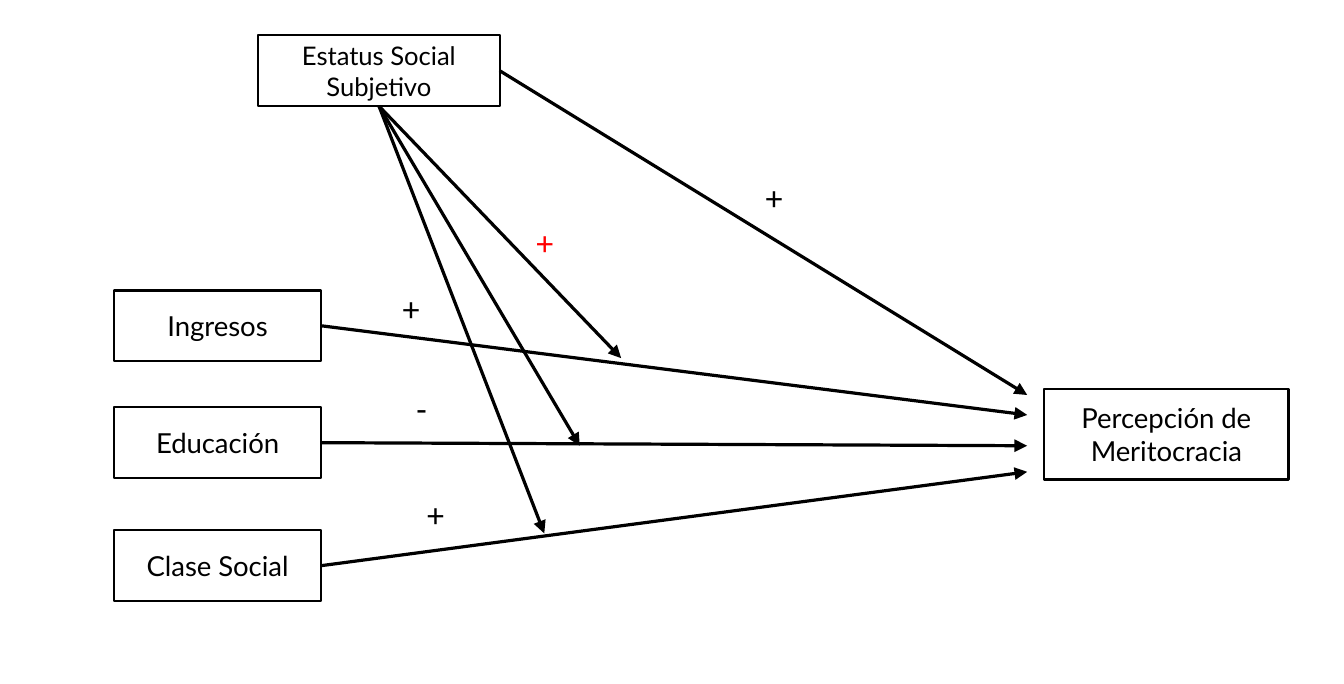
from lxml.etree import SubElement
from pptx import Presentation
from pptx.dml.color import RGBColor
from pptx.enum.shapes import MSO_CONNECTOR as Connector, MSO_SHAPE as Shape
from pptx.enum.text import MSO_ANCHOR as Anchor, MSO_AUTO_SIZE as AutoSize, PP_ALIGN as Align
from pptx.oxml.ns import qn
from pptx.util import Inches, Pt

BLACK = RGBColor(0, 0, 0)
WHITE = RGBColor(255, 255, 255)
RED = RGBColor(255, 0, 0)
BOTTOM, RIGHT = 2, 3  # connection sites of a rectangle


class PathDiagram:
    """Draws boxes, arrows and signs; lengths are percentages of the slide's size."""

    box_font, sign_font = "Lato", "Calibri"
    sign_widths = {"+": 3.55, "-": 3.09}
    sign_height = 8.31

    def __init__(self, deck):
        self.width, self.height = deck.slide_width, deck.slide_height
        self.shapes = deck.slides.add_slide(deck.slide_layouts[6]).shapes

    def place(self, x, y):
        return round(self.width * x / 100), round(self.height * y / 100)

    def label(self, frame, text, font_name, size, color):
        frame.text = text
        for paragraph in frame.paragraphs:
            for run in paragraph.runs:
                run.font.name = font_name
                run.font.size = Pt(size)
                run.font.color.rgb = color

    def box(self, name, x, y, width, height, size=12.9):
        box = self.shapes.add_shape(Shape.RECTANGLE, *self.place(x, y), *self.place(width, height))
        box.shadow.inherit = False
        box.fill.solid()
        box.fill.fore_color.rgb = WHITE
        box.line.color.rgb = BLACK
        box.line.width = Pt(1)
        frame = box.text_frame
        frame.word_wrap = True
        frame.vertical_anchor = Anchor.MIDDLE
        frame.margin_left = frame.margin_right = Inches(0.07)
        frame.margin_top = frame.margin_bottom = Inches(0.04)
        self.label(frame, name, self.box_font, size, BLACK)
        for paragraph in frame.paragraphs:
            paragraph.alignment = Align.CENTER
        return box

    def arrow(self, source, site, x, y):
        """Joins a box's connection site to a free point."""
        arrow = self.shapes.add_connector(Connector.STRAIGHT, 0, 0, *self.place(x, y))
        arrow.begin_connect(source, site)
        arrow.line.color.rgb = BLACK
        arrow.line.width = Pt(1.5)
        properties = arrow._element.spPr
        SubElement(properties.find(qn("a:ln")), qn("a:tailEnd"), type="triangle")
        SubElement(properties, qn("a:effectLst"))

    def sign(self, symbol, x, y, color=BLACK):
        size = self.place(self.sign_widths[symbol], self.sign_height)
        frame = self.shapes.add_textbox(*self.place(x, y), *size).text_frame
        frame.word_wrap = False
        frame.auto_size = AutoSize.SHAPE_TO_FIT_TEXT
        self.label(frame, symbol, self.sign_font, 16, color)


def main():
    deck = Presentation()
    deck.slide_width, deck.slide_height = Inches(8.74), Inches(4.45)
    diagram = PathDiagram(deck)

    box_height = 10.34
    predictors = [
        # name, top of box, height of arrow tip
        ("Ingresos", 42.47, 60.67),
        ("Educación", 59.55, 65.17),
        ("Clase Social", 77.53, 68.99),
    ]
    diagram.box("Percepción de Meritocracia", 77.69, 56.85, 18.19, 13.26)
    outcome_x = 76.43
    for name, top, tip_y in predictors:
        predictor = diagram.box(name, 8.47, top, 15.45, box_height)
        diagram.arrow(predictor, RIGHT, outcome_x, tip_y)

    status = diagram.box("Estatus Social\vSubjetivo", 19.22, 5.17, 17.96, box_height, size=12)
    diagram.arrow(status, RIGHT, outcome_x, 57.75)
    for moderated_point in [(46.22, 52.36), (43.14, 65.17), (40.5, 77.98)]:
        diagram.arrow(status, BOTTOM, *moderated_point)

    diagram.sign("+", 28.83, 40.9)
    diagram.sign("-", 29.86, 55.51)
    diagram.sign("+", 30.66, 71.01)
    diagram.sign("+", 38.79, 31.24, RED)
    diagram.sign("+", 55.84, 24.72)

    deck.save("out.pptx")


if __name__ == "__main__":
    main()
